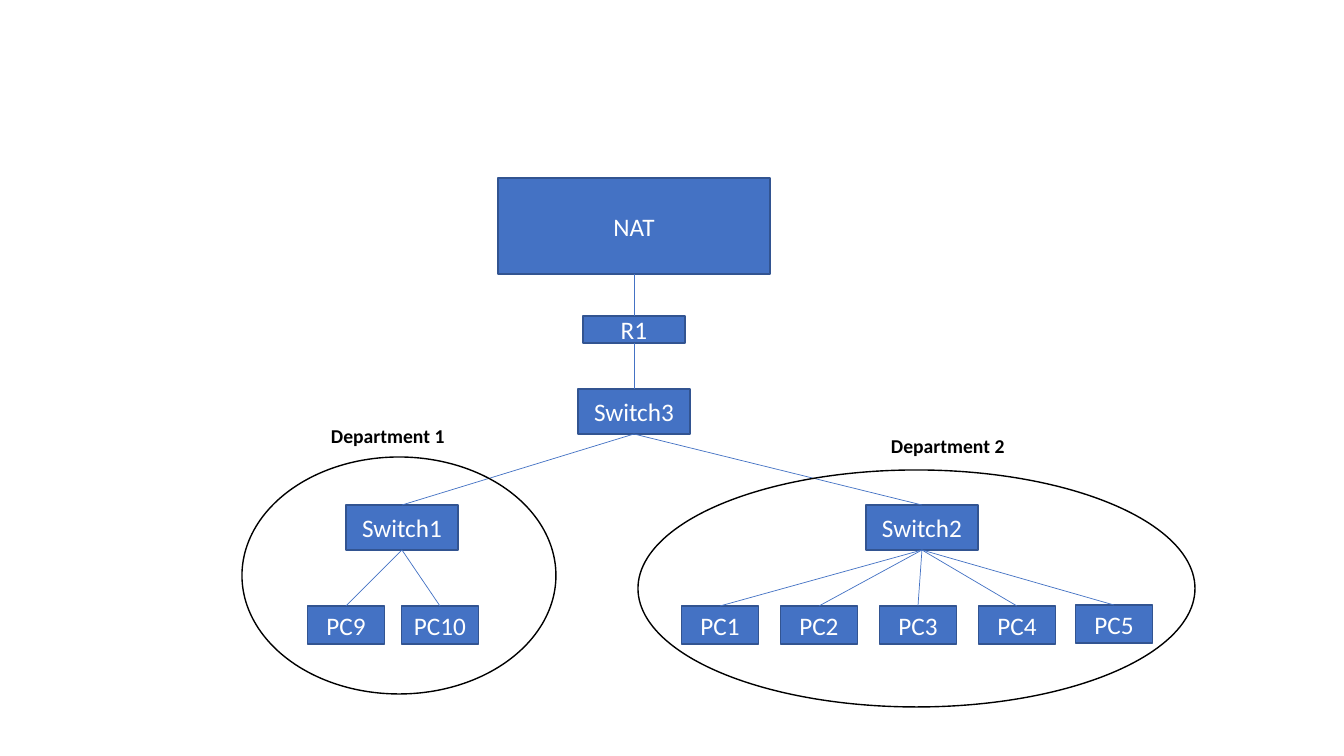
import pptx
import pptx.util
import pptx.dml.color
import pptx.enum.shapes
import pptx.enum.text
import pptx.oxml.ns
import lxml.etree

SLIDE_SIZE = (1344, 756)
PC_SIZE = (77, 38)
SWITCH_SIZE = (112, 45)
PC_TOP = 606
SWITCH_TOP = 505
CORE_CENTER = 634

# name: (center x, top, size)
NODES = {
    "NAT": (CORE_CENTER, 178, (272, 96)),
    "R1": (CORE_CENTER, 316, (102, 27)),
    "Switch3": (CORE_CENTER, 389, SWITCH_SIZE),
    "Switch1": (402, SWITCH_TOP, SWITCH_SIZE),
    "Switch2": (922, SWITCH_TOP, SWITCH_SIZE),
    "PC9": (346, PC_TOP, PC_SIZE),
    "PC10": (440, PC_TOP, PC_SIZE),
    **{f"PC{number}": (621 + 99 * number, PC_TOP, PC_SIZE) for number in range(1, 5)},
    "PC5": (1114, 605, PC_SIZE),
}

LINKS = {
    "NAT": ["R1"],
    "R1": ["Switch3"],
    "Switch3": ["Switch1", "Switch2"],
    "Switch1": ["PC9", "PC10"],
    "Switch2": ["PC1", "PC2", "PC3", "PC4", "PC5"],
}

DEPARTMENTS = [
    ("Department 1", (321, 419, 158, 34), (242, 457, 314, 237)),
    ("Department 2", (881, 429, 158, 34), (638, 470, 557, 237)),
]

THEME = {
    "font": "Calibri",
    "node_fill": "4472C4",
    "node_line": "325491",
    "node_text": "FFFFFF",
    "link": "4472C4",
    "department": "000000",
    "node_size": 18,
    "label_size": 14,
    "outline_width": 1,
    "link_width": 0.5,
}

BOTTOM_SITE = 2
TOP_SITE = 0


def px(length):
    return round(length * 914400 / 100.8)


def color(name):
    return pptx.dml.color.RGBColor.from_string(THEME[name])


def set_line(line, color_name, width_name):
    line.color.rgb = color(color_name)
    line.width = pptx.util.Pt(THEME[width_name])


def add_run(paragraph, text, size_name, color_name, bold=False):
    run = paragraph.add_run()
    run.text = text
    run.font.name = THEME["font"]
    run.font.size = pptx.util.Pt(THEME[size_name])
    run.font.color.rgb = color(color_name)
    run.font.bold = bold


def add_outlined_shape(slide, kind, box, line_color):
    shape = slide.shapes.add_shape(kind, *map(px, box))
    shape.shadow.inherit = False
    set_line(shape.line, line_color, "outline_width")
    return shape


def add_node(slide, name, center, top, size):
    width, height = size
    shape = add_outlined_shape(
        slide,
        pptx.enum.shapes.MSO_SHAPE.RECTANGLE,
        (center - width / 2, top, width, height),
        "node_line",
    )
    shape.fill.solid()
    shape.fill.fore_color.rgb = color("node_fill")
    shape.text_frame.vertical_anchor = pptx.enum.text.MSO_ANCHOR.MIDDLE
    paragraph = shape.text_frame.paragraphs[0]
    paragraph.alignment = pptx.enum.text.PP_ALIGN.CENTER
    add_run(paragraph, name, "node_size", "node_text")
    return shape


def add_link(slide, upper, lower):
    connector = slide.shapes.add_connector(
        pptx.enum.shapes.MSO_CONNECTOR.STRAIGHT, 0, 0, 0, 0
    )
    connector.begin_connect(upper, BOTTOM_SITE)
    connector.end_connect(lower, TOP_SITE)
    set_line(connector.line, "link", "link_width")
    lxml.etree.SubElement(
        connector._element.spPr, pptx.oxml.ns.qn("a:effectLst")
    )


def add_department(slide, name, label_box, ellipse_box):
    ellipse = add_outlined_shape(
        slide, pptx.enum.shapes.MSO_SHAPE.OVAL, ellipse_box, "department"
    )
    ellipse.fill.background()
    label = slide.shapes.add_textbox(*map(px, label_box))
    label.text_frame.word_wrap = True
    label.text_frame.auto_size = pptx.enum.text.MSO_AUTO_SIZE.SHAPE_TO_FIT_TEXT
    add_run(label.text_frame.paragraphs[0], name, "label_size", "department", bold=True)


def main():
    presentation = pptx.Presentation()
    presentation.slide_width, presentation.slide_height = map(px, SLIDE_SIZE)
    slide = presentation.slides.add_slide(presentation.slide_layouts[6])
    shapes = {name: add_node(slide, name, *place) for name, place in NODES.items()}
    for upper, lowers in LINKS.items():
        for lower in lowers:
            add_link(slide, shapes[upper], shapes[lower])
    for department in DEPARTMENTS:
        add_department(slide, *department)
    presentation.save("out.pptx")


if __name__ == "__main__":
    main()
